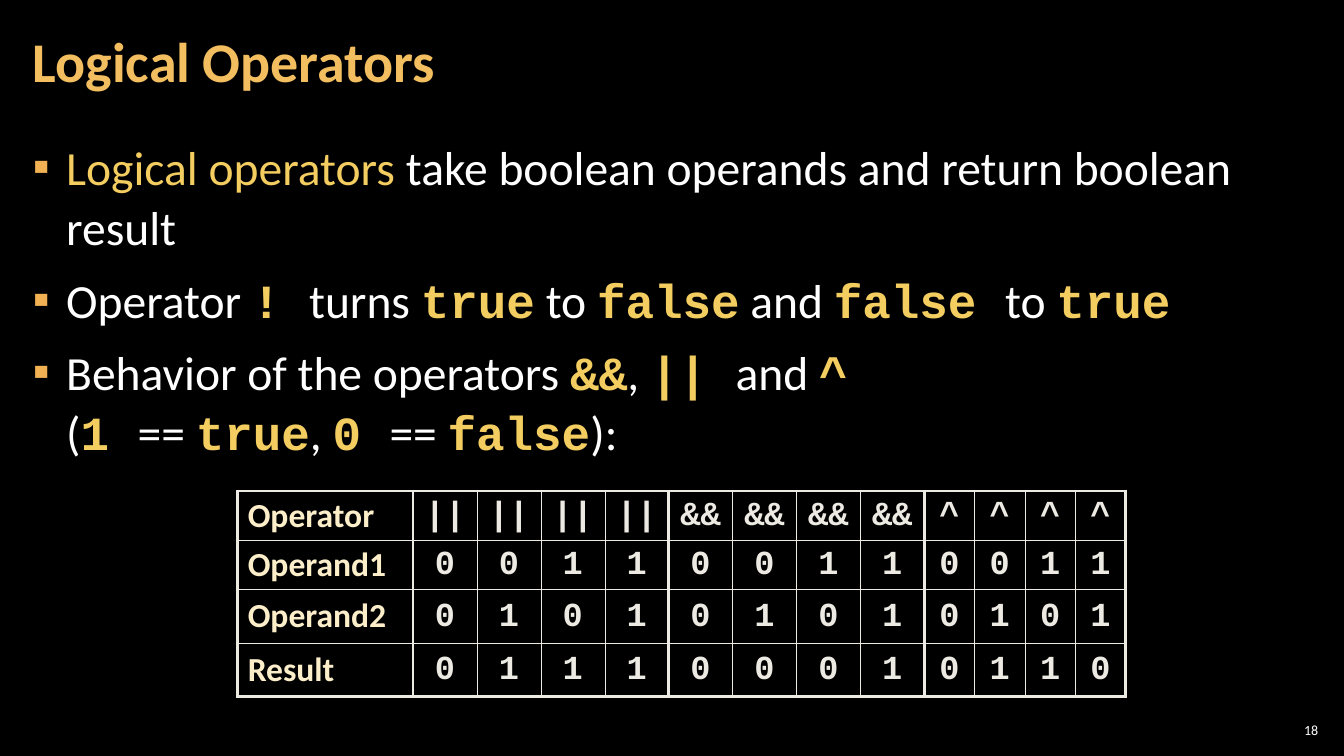
from lxml.etree import SubElement
from pptx import Presentation
from pptx.dml.color import RGBColor
from pptx.enum.text import MSO_ANCHOR, PP_ALIGN
from pptx.oxml.ns import qn
from pptx.util import Cm, Pt

BODY_FONT, CODE_FONT = "Calibri", "Courier New"
BLACK, WHITE, YELLOW = "000000", "FFFFFF", "F3CD60"
TITLE_COLOR, BULLET_COLOR = "F3BE60", "F2B254"
LABEL_COLOR, GRID_COLOR = "FBEEC9", "ECEAE3"

# Each span style is font name, colour, bold
PLAIN = (BODY_FONT, WHITE, False)
TERM = (BODY_FONT, YELLOW, False)
CODE = (CODE_FONT, YELLOW, True)
BREAK = None

BULLETS = [
    [(TERM, "Logical operators "),
     (PLAIN, "take boolean operands and return boolean result")],
    [(PLAIN, "Operator "), (CODE, "! "), (PLAIN, "turns "), (CODE, "true"),
     (PLAIN, " to "), (CODE, "false"), (PLAIN, " and "), (CODE, "false "),
     (PLAIN, "to "), (CODE, "true")],
    [(PLAIN, "Behavior of the operators "), (CODE, "&&"), (PLAIN, ", "),
     (CODE, "|| "), (PLAIN, "and "), (CODE, "^ "), BREAK,
     (PLAIN, "("), (CODE, "1 "), (PLAIN, "== "), (CODE, "true"),
     (PLAIN, ", "), (CODE, "0 "), (PLAIN, "== "), (CODE, "false"),
     (PLAIN, "):")],
]

OPERATORS = {
    "||": lambda first, second: first | second,
    "&&": lambda first, second: first & second,
    "^": lambda first, second: first ^ second,
}
OPERANDS = [(0, 0), (0, 1), (1, 0), (1, 1)]
COLUMN_WIDTHS = [4.42] + [1.61] * 8 + [1.27] * 4
ROW_HEIGHTS = [1.24, 1.24, 1.35, 1.35]


def color(value):
    return RGBColor.from_string(value)


def set_font(font, name, value, bold, size=None):
    font.name = name
    font.color.rgb = color(value)
    font.bold = bold
    if size:
        font.size = Pt(size)


def add_box(page, left, top, width, height, side=0.1, upper=0.1):
    """Add a wrapping text box; side and upper are its insets in cm."""
    box = page.shapes.add_textbox(Cm(left), Cm(top), Cm(width), Cm(height))
    frame = box.text_frame
    frame.word_wrap = True
    frame.margin_left = frame.margin_right = Cm(side)
    frame.margin_top, frame.margin_bottom = Cm(upper), Cm(0.1)
    return frame


def add_line(page, place, text, style, size, side=0.1):
    """Add a one-line box, centred vertically, and return its paragraph."""
    frame = add_box(page, *place, side=side)
    frame.vertical_anchor = MSO_ANCHOR.MIDDLE
    para = frame.paragraphs[0]
    para.text = text
    set_font(para.font, *style, size)
    return para


def add_bullet_mark(para):
    properties = para._p.get_or_add_pPr()
    properties.set("marL", str(Cm(0.84)))
    properties.set("indent", str(-Cm(0.84)))
    mark_color = SubElement(properties, qn("a:buClr"))
    SubElement(mark_color, qn("a:srgbClr"), val=BULLET_COLOR)
    SubElement(properties, qn("a:buFont"), typeface=BODY_FONT)
    SubElement(properties, qn("a:buChar"), char="▪")


def add_bullets(page):
    frame = add_box(page, 0.53, 3.2, 32.79, 15.47, side=0.3, upper=0.21)
    for index, spans in enumerate(BULLETS):
        para = frame.add_paragraph() if index else frame.paragraphs[0]
        add_bullet_mark(para)
        para.line_spacing = 1.05
        para.space_before = Pt(3 if index else 0)
        para.space_after = Pt(6)
        para.font.size = Pt(34)
        for span in spans:
            if span is BREAK:
                para.add_line_break()
                continue
            style, text = span
            run = para.add_run()
            run.text = text
            set_font(run.font, *style)


def truth_rows():
    cases = [(sign, rule, *pair) for sign, rule in OPERATORS.items()
             for pair in OPERANDS]
    return [
        ["Operator"] + [sign for sign, _, _, _ in cases],
        ["Operand1"] + [first for _, _, first, _ in cases],
        ["Operand2"] + [second for _, _, _, second in cases],
        ["Result"] + [rule(first, second) for _, rule, first, second in cases],
    ]


def set_borders(cell, row, column):
    """Draw thick lines round the table and between operator groups."""
    thick_columns = (0, 1, 5, 9, 13)
    thick_rows = (0, len(ROW_HEIGHTS))
    sides = {"L": column in thick_columns, "R": column + 1 in thick_columns,
             "T": row in thick_rows, "B": row + 1 in thick_rows}
    properties = cell._tc.get_or_add_tcPr()
    for side, thick in sides.items():
        width = Pt(2.25 if thick else 0.25)
        line = SubElement(properties, qn("a:ln" + side), w=str(width))
        fill = SubElement(line, qn("a:solidFill"))
        SubElement(fill, qn("a:srgbClr"), val=GRID_COLOR)


def fill_cell(cell, value, is_label):
    cell.fill.background()
    cell.vertical_anchor = MSO_ANCHOR.MIDDLE
    para = cell.text_frame.paragraphs[0]
    para.text = str(value)
    para.line_spacing = 0.95
    if is_label:
        set_font(para.font, BODY_FONT, LABEL_COLOR, True, 24)
        return
    cell.margin_left = cell.margin_right = Cm(0.1)
    cell.margin_top = cell.margin_bottom = Cm(0.1)
    para.alignment = PP_ALIGN.CENTER
    set_font(para.font, CODE_FONT, GRID_COLOR, True, 24)


def add_truth_table(page):
    table = page.shapes.add_table(
        len(ROW_HEIGHTS), len(COLUMN_WIDTHS), Cm(5.99), Cm(12.37),
        Cm(sum(COLUMN_WIDTHS)), Cm(sum(ROW_HEIGHTS))).table
    table.first_row = table.horz_banding = False
    for column, width in zip(table.columns, COLUMN_WIDTHS):
        column.width = Cm(width)
    for row, height in zip(table.rows, ROW_HEIGHTS):
        row.height = Cm(height)
    for row, values in enumerate(truth_rows()):
        for column, value in enumerate(values):
            cell = table.cell(row, column)
            set_borders(cell, row, column)
            fill_cell(cell, value, is_label=column == 0)


def main():
    deck = Presentation()
    deck.slide_width, deck.slide_height = Cm(33.87), Cm(19.05)
    page = deck.slides.add_slide(deck.slide_layouts[6])
    page.background.fill.solid()
    page.background.fill.fore_color.rgb = color(BLACK)

    number = add_line(page, (32.13, 18.14, 1.19, 0.53), "18", PLAIN, 10)
    number.alignment = PP_ALIGN.RIGHT
    add_bullets(page)
    title = add_line(page, (0.53, 0.1, 26.59, 3.07), "Logical Operators",
                     (BODY_FONT, TITLE_COLOR, True), 40, side=0.3)
    title.line_spacing = 0.9
    add_truth_table(page)
    deck.save("out.pptx")


if __name__ == "__main__":
    main()
